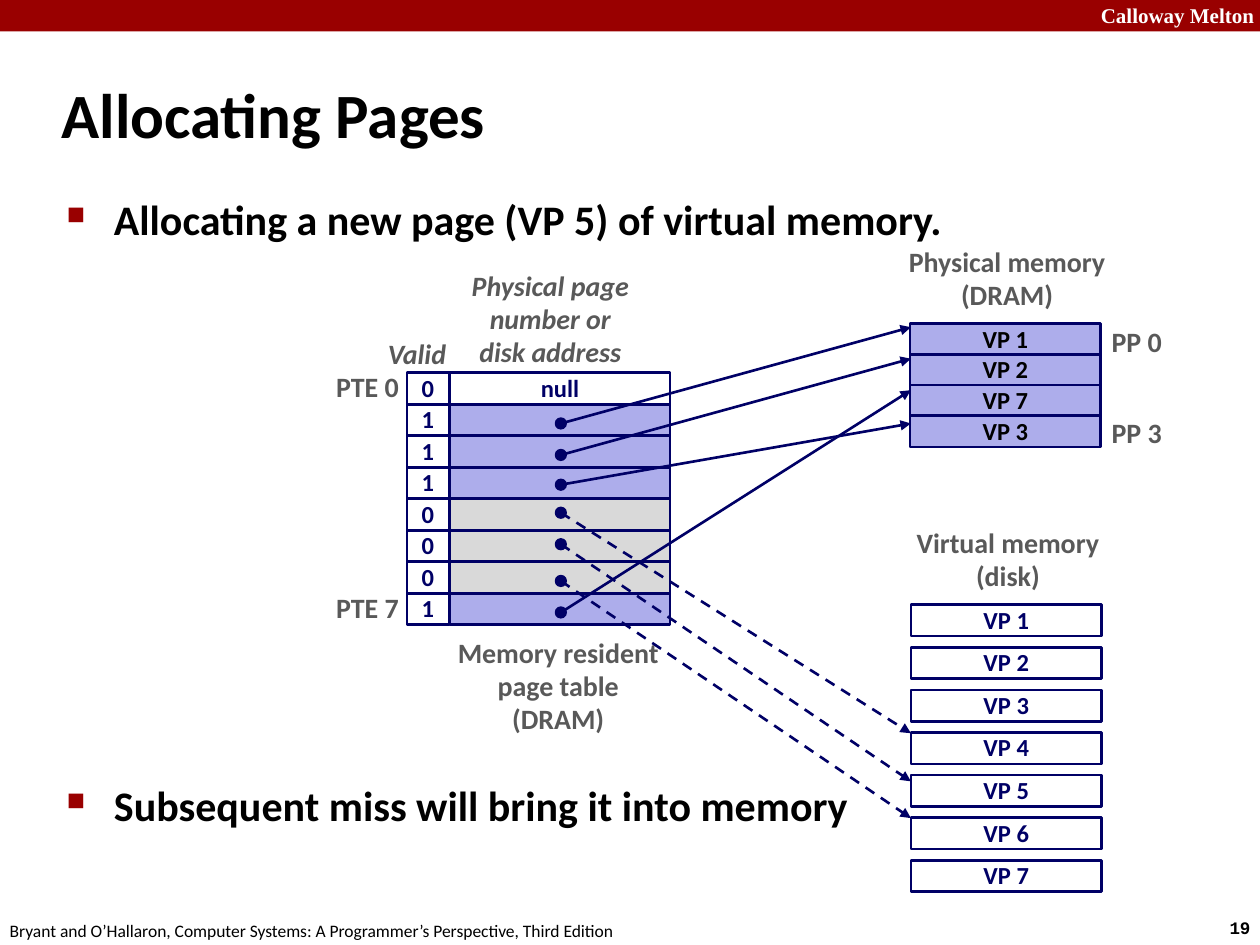
from lxml.etree import SubElement
from pptx import Presentation
from pptx.dml.color import RGBColor
from pptx.enum.dml import MSO_LINE
from pptx.enum.shapes import MSO_CONNECTOR, MSO_SHAPE
from pptx.enum.text import MSO_ANCHOR, MSO_AUTO_SIZE, PP_ALIGN
from pptx.oxml.ns import qn
from pptx.util import Pt

NAVY, GRAY, RED = "000066", "595959", "990000"
LILAC, SILVER, WHITE, BLACK = "ADADEB", "D9D9D9", "FFFFFF", "000000"
ROW = 18


def color(code):
    return RGBColor.from_string(code)


def write(frame, text, size, ink, name="Calibri", bold=True, italic=False,
          align=PP_ALIGN.LEFT, space=None):
    frame.text = text
    for para in frame.paragraphs:
        para.alignment = align
        para.line_spacing = space
        font = para.font
        font.name, font.size = name, Pt(size)
        font.bold, font.italic = bold, italic
        font.color.rgb = color(ink)


def add_text(slide, box, text, size, ink, anchor=MSO_ANCHOR.TOP, **style):
    frame = slide.shapes.add_textbox(*map(Pt, box)).text_frame
    frame.word_wrap = False
    frame.vertical_anchor = anchor
    write(frame, text, size, ink, **style)
    return frame


def add_label(slide, box, text, align=PP_ALIGN.CENTER, italic=False):
    add_text(slide, box, text, 16, GRAY, MSO_ANCHOR.MIDDLE,
             align=align, italic=italic, space=0.98)


def add_shape(slide, kind, box, fill=None, line=None, width=1.5):
    shape = slide.shapes.add_shape(kind, *map(Pt, box))
    shape.shadow.inherit = False
    if fill:
        shape.fill.solid()
        shape.fill.fore_color.rgb = color(fill)
    else:
        shape.fill.background()
    if line:
        shape.line.color.rgb = color(line)
        shape.line.width = Pt(width)
    else:
        shape.line.fill.background()
    return shape


def add_cell(slide, box, fill=None, text="", ink=NAVY):
    cell = add_shape(slide, MSO_SHAPE.RECTANGLE, box, fill, NAVY)
    if text:
        frame = cell.text_frame
        frame.word_wrap = False
        frame.vertical_anchor = MSO_ANCHOR.MIDDLE
        write(frame, text, 14, ink, align=PP_ALIGN.CENTER, space=0.98)


def add_arrow(slide, start, end, dashed):
    arrow = slide.shapes.add_connector(
        MSO_CONNECTOR.STRAIGHT, *map(Pt, start + end))
    arrow.line.color.rgb = color(NAVY)
    arrow.line.width = Pt(1.5)
    if dashed:
        arrow.line.dash_style = MSO_LINE.DASH
    SubElement(arrow.line._get_or_add_ln(), qn("a:tailEnd"), type="triangle")
    SubElement(arrow._element.spPr, qn("a:effectLst"))


def add_frame(slide, width, height):
    """Top band, footer and page number."""
    add_shape(slide, MSO_SHAPE.RECTANGLE, (0, 0, width, 18), RED)
    add_text(slide, (width - 98, -2, 103, 22), "Calloway Melton", 12, WHITE,
             name="Times New Roman")
    add_text(slide, (width - 24.5, height - 19.5, 32, 19), "19", 10, BLACK,
             name="Courier New")
    add_text(slide, (-1.5, height - 18, 366, 19),
             "Bryant and O’Hallaron, Computer Systems: "
             "A Programmer’s Perspective, Third Edition",
             10, BLACK, bold=False)


def add_title(slide, box, text):
    title = slide.shapes.title
    title.left, title.top, title.width, title.height = map(Pt, box)
    frame = title.text_frame
    frame.auto_size = MSO_AUTO_SIZE.NONE
    frame.vertical_anchor = MSO_ANCHOR.MIDDLE
    write(frame, text, 36, BLACK)


def add_bullets(slide, box, lines, gap):
    frame = add_text(slide, box, "\n".join(lines), 24, BLACK)
    frame.word_wrap = True
    for i, para in enumerate(frame.paragraphs):
        para.space_before = Pt(gap if i else 0)
        props = para._p.get_or_add_pPr()
        props.set("marL", str(Pt(27)))
        props.set("indent", str(-Pt(27)))
        last = props.find(qn("a:defRPr"))
        tint = SubElement(props, qn("a:buClr"))
        SubElement(tint, qn("a:srgbClr"), val=RED)
        SubElement(props, qn("a:buSzPct"), val="60000")
        SubElement(props, qn("a:buChar"), char="■")
        props.append(last)


def add_table(slide, left, top):
    """Page table: valid bits beside page addresses."""
    rows = [("0", WHITE)] + [("1", LILAC)] * 3 + [("0", SILVER)] * 3
    rows.append(("1", LILAC))
    for i, (valid, fill) in enumerate(rows):
        y = top + i * ROW
        add_cell(slide, (left, y, 24, ROW), text=valid)
        add_cell(slide, (left + 24.5, y, 126, ROW), fill,
                 "" if i else "null")
    for i in (0, 7):
        add_label(slide, (left - 47.5, top - 5 + i * ROW, 50, 27),
                  f"PTE {i}", PP_ALIGN.RIGHT)
    add_label(slide, (left - 18, top - 24, 54, 27), "Valid",
              PP_ALIGN.LEFT, True)
    add_label(slide, (left + 29.5, top - 62.5, 105, 64),
              "Physical page\nnumber or\ndisk address", italic=True)
    add_label(slide, (left + 20, top + 147.5, 133, 64),
              "Memory resident\npage table\n(DRAM)")


def add_pages(slide, left, top, pages, pitch, fill, ink, title):
    """Column of pages under a two-line heading."""
    add_label(slide, (left - 8.5, top - 48, 128, 45), title)
    for i, page in enumerate(pages):
        add_cell(slide, (left, top + i * pitch, 109, ROW), fill,
                 f"VP {page}", ink)


def add_links(slide, x, right, links):
    for start, end, dashed in links:
        add_arrow(slide, (x, start), (right, end), dashed)
        add_shape(slide, MSO_SHAPE.OVAL, (x - 3, start - 3, 6, 6),
                  NAVY, NAVY, 1)


def main():
    deck = Presentation()
    deck.slide_width, deck.slide_height = Pt(720), Pt(540)
    slide = deck.slides.add_slide(deck.slide_layouts[5])
    add_frame(slide, 720, 540)
    add_title(slide, (28, 34.5, 598, 60), "Allocating Pages")
    add_bullets(slide, (31, 107, 622, 392),
                ["Allocating a new page (VP 5) of virtual memory.",
                 "Subsequent miss will bring it into memory"], 306)

    table, ram, disk, right = 213, 185, 345.5, 520
    add_table(slide, 232.5, table)
    add_pages(slide, right, ram, (1, 2, 7, 3), 17.5, LILAC, BLACK,
              "Physical memory\n(DRAM)")
    for i, y in ((0, -3), (3, 49)):
        add_label(slide, (right + 108, ram + y, 43, 27), f"PP {i}")
    add_pages(slide, right + 0.5, disk, range(1, 8), 24.35, WHITE, NAVY,
              "Virtual memory\n(disk)")
    links = [(29, ram + 2), (47, ram + 20), (64, ram + 57), (80, disk + 73.5),
             (98, disk + 101), (119, disk + 122), (137, ram + 38)]
    add_links(slide, 320.5, right + 0.5,
              [(table + dot, end, end > disk) for dot, end in links])
    deck.save("out.pptx")


if __name__ == "__main__":
    main()
